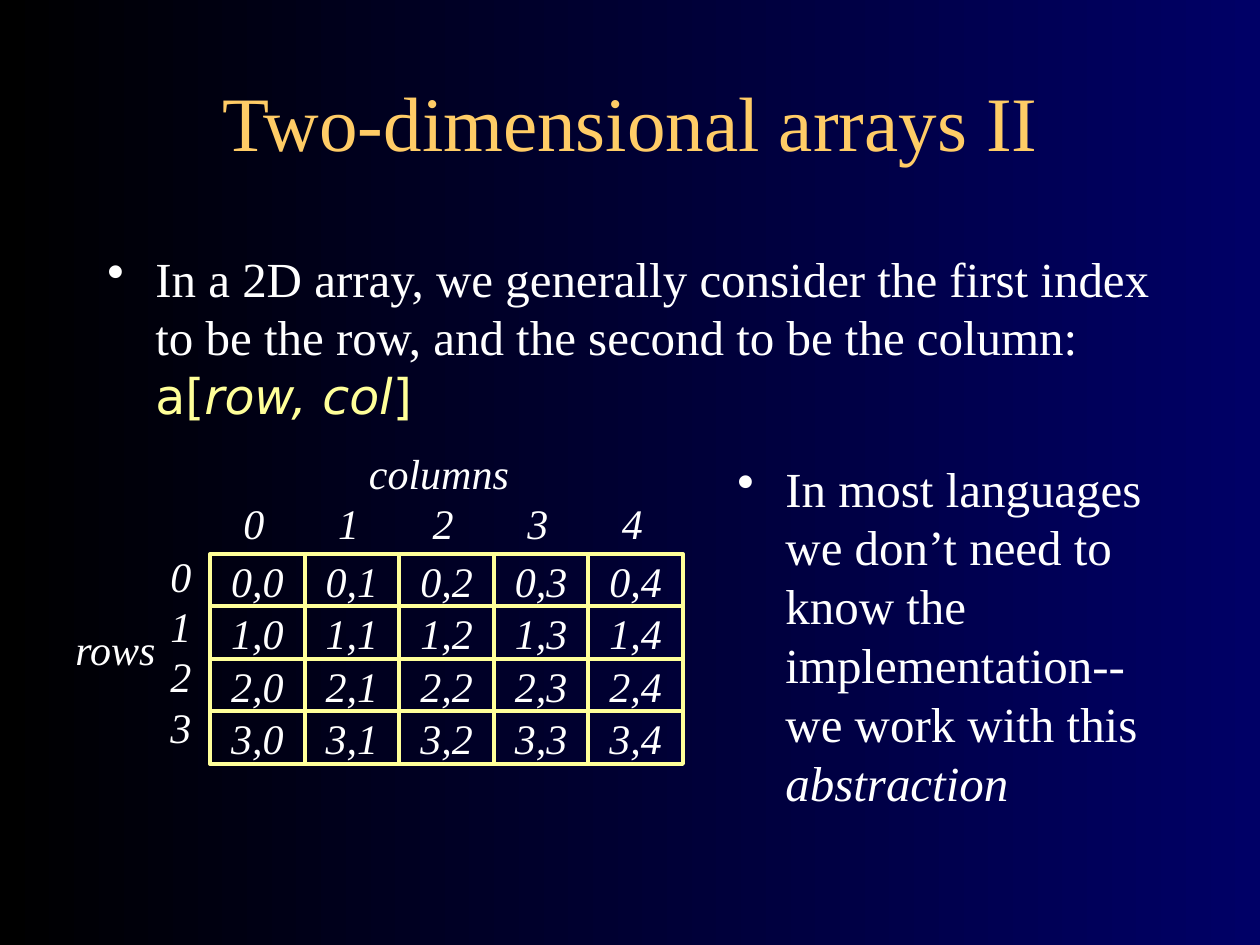
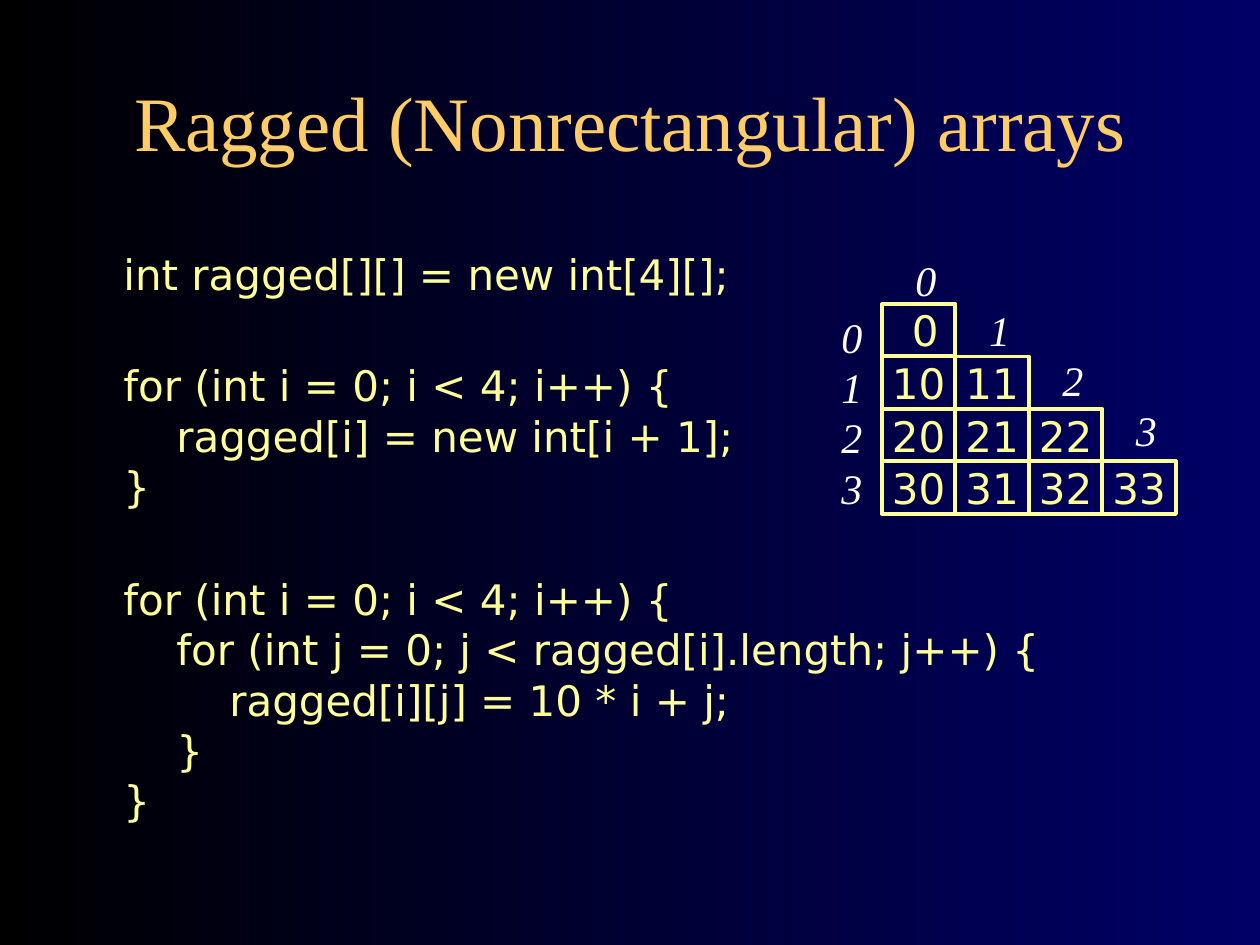
from lxml.etree import SubElement
from pptx import Presentation
from pptx.dml.color import RGBColor
from pptx.enum.shapes import MSO_SHAPE
from pptx.enum.text import MSO_ANCHOR as ANCHOR, PP_ALIGN as ALIGN
from pptx.oxml.ns import qn
from pptx.util import Pt

# Shared look
SERIF, SANS = "Times New Roman", "DejaVu Sans"
BLACK = RGBColor(0x00, 0x00, 0x00)
NAVY = RGBColor(0x00, 0x00, 0x66)
WHITE = RGBColor(0xFF, 0xFF, 0xFF)
GOLD = RGBColor(0xFF, 0xCC, 0x66)
YELLOW = RGBColor(0xFF, 0xFF, 0x99)
PX = 7257.14  # EMU per px, 126 px to the inch
LEADING = 1.2
HANG = 48
CODE_INDENT = 53
LABEL_PITCH = 50
TITLE_BOX = (95, 42, 1071, 158)

# Content: paragraphs are lists of (text, format) runs
YELLOW_CODE = dict(font=SANS, color=YELLOW)
INDEX_RULE = [
    ("In a 2D array, we generally consider the first index to be the row, "
     "and the second to be the column: ", {}),
    ("a[", YELLOW_CODE),
    ("row, col", dict(YELLOW_CODE, italic=True)),
    ("]", YELLOW_CODE),
]
ABSTRACTION = [
    ("In most languages we don’t need to know the implementation--"
     "we work with this ", {}),
    ("abstraction", dict(italic=True)),
]

# Code: blocks of (indent level, line)
ALLOCATE = [
    [(0, "int ragged[][] = new int[4][];")],
    [(0, "for (int i = 0; i < 4; i++) {"),
     (1, "ragged[i] = new int[i + 1];"),
     (0, "}")],
]
FILL = [
    [(0, "for (int i = 0; i < 4; i++) {"),
     (1, "for (int j = 0; j < ragged[i].length; j++) {"),
     (2, "ragged[i][j] = 10 * i + j;"),
     (1, "}"),
     (0, "}")],
]

ROWS, COLUMNS = 4, 5
RECTANGULAR = [[f"{r},{c}" for c in range(COLUMNS)] for r in range(ROWS)]
RAGGED = [[f"{10 * r + c:>2}" for c in range(r + 1)] for r in range(ROWS)]
ROW_INDICES = [str(r) for r in range(ROWS)]

RECTANGULAR_GRID = (210, 554, 473, 210)
RAGGED_GRID = (882, 304, 294, 210)


def emu(px):
    return round(px * PX)


def write(shape, paragraphs, *, size=24, font=SERIF, color=WHITE, italic=False,
          align=ALIGN.LEFT, anchor=ANCHOR.TOP, wrap=True, bullet=False):
    """Fill a shape; a paragraph is a string or a list of (text, format)."""
    frame = shape.text_frame
    frame.word_wrap = wrap
    frame.vertical_anchor = anchor
    for i, runs in enumerate(paragraphs):
        para = frame.paragraphs[0] if i == 0 else frame.add_paragraph()
        para.alignment = align
        para.line_spacing = Pt(size * LEADING)
        if bullet:
            props = para._p.get_or_add_pPr()
            props.set("marL", str(emu(HANG)))
            props.set("indent", str(-emu(HANG)))
            SubElement(SubElement(props, qn("a:buClr")),
                       qn("a:srgbClr")).set("val", str(color))
            SubElement(props, qn("a:buChar")).set("char", "•")
        for text, changes in [(runs, {})] if isinstance(runs, str) else runs:
            run = para.add_run()
            run.text = text
            run.font.size = Pt(size)
            run.font.name = changes.get("font", font)
            run.font.italic = changes.get("italic", italic)
            run.font.color.rgb = changes.get("color", color)
    return frame


def add_text(slide, box, paragraphs, **style):
    return write(slide.shapes.add_textbox(*map(emu, box)), paragraphs, **style)


def add_label(slide, center, top, text):
    add_text(slide, (center - 95, top, 190, 63), [text],
             italic=True, align=ALIGN.CENTER)


def add_row_indices(slide, left, top):
    add_text(slide, (left, top, 63, 214), ROW_INDICES, italic=True)


def add_grid(slide, box, rows, **style):
    """Draw rows of cells; the longest row spans the whole box."""
    left, top, width, height = box
    cell_w, cell_h = width / max(map(len, rows)), height / len(rows)
    for r, row in enumerate(rows):
        for c, value in enumerate(row):
            place = (left + c * cell_w, top + r * cell_h, cell_w, cell_h)
            cell = slide.shapes.add_shape(MSO_SHAPE.RECTANGLE, *map(emu, place))
            cell.shadow.inherit = False
            cell.fill.background()
            cell.line.color.rgb = YELLOW
            cell.line.width = Pt(2.25)
            write(cell, [value], align=ALIGN.CENTER, anchor=ANCHOR.MIDDLE,
                  wrap=False, **style)


def add_code(slide, box, blocks):
    lines = [line for block in blocks for line in block]
    frame = add_text(slide, box, [text for _, text in lines], **YELLOW_CODE)
    for para, (level, _) in zip(frame.paragraphs, lines):
        para._p.get_or_add_pPr().set("marL", str(emu(HANG + level * CODE_INDENT)))
    # One line of space before every block but the first
    start = 0
    for block in blocks[:-1]:
        start += len(block)
        frame.paragraphs[start].space_before = Pt(35)


def add_titled_slide(deck, title):
    slide = deck.slides.add_slide(deck.slide_layouts[6])
    add_text(slide, TITLE_BOX, [title], size=44, color=GOLD,
             align=ALIGN.CENTER, anchor=ANCHOR.MIDDLE)
    return slide


def add_rectangular_slide(deck):
    slide = add_titled_slide(deck, "Two-dimensional arrays II")
    add_text(slide, (95, 242, 1071, 221), [INDEX_RULE], size=28, bullet=True)
    add_grid(slide, RECTANGULAR_GRID, RECTANGULAR, italic=True)
    add_row_indices(slide, 158, 544)
    add_label(slide, 439, 441, "columns")
    for c in range(COLUMNS):
        add_label(slide, 254 + c * RECTANGULAR_GRID[2] / COLUMNS,
                  441 + LABEL_PITCH, str(c))
    add_text(slide, (63, 617, 116, 63), ["rows"], italic=True)
    add_text(slide, (725, 452, 462, 420), [ABSTRACTION], size=28, bullet=True)


def add_ragged_slide(deck):
    slide = add_titled_slide(deck, "Ragged (Nonrectangular) arrays")
    add_code(slide, (63, 242, 746, 284), ALLOCATE)
    add_code(slide, (63, 567, 1071, 273), FILL)
    add_grid(slide, RAGGED_GRID, RAGGED, **YELLOW_CODE)
    add_row_indices(slide, 829, 305)
    # Column indices step down along the diagonal
    for c in range(ROWS):
        add_label(slide, 926 + c * RAGGED_GRID[2] / ROWS,
                  248 + c * LABEL_PITCH, str(c))


def main():
    deck = Presentation()
    deck.slide_width, deck.slide_height = emu(1260), emu(945)
    backdrop = deck.slide_master.background.fill
    backdrop.gradient()
    backdrop.gradient_angle = 0
    for stop, color in zip(backdrop.gradient_stops, (BLACK, NAVY)):
        stop.color.rgb = color
    add_rectangular_slide(deck)
    add_ragged_slide(deck)
    deck.save("out.pptx")


if __name__ == "__main__":
    main()
